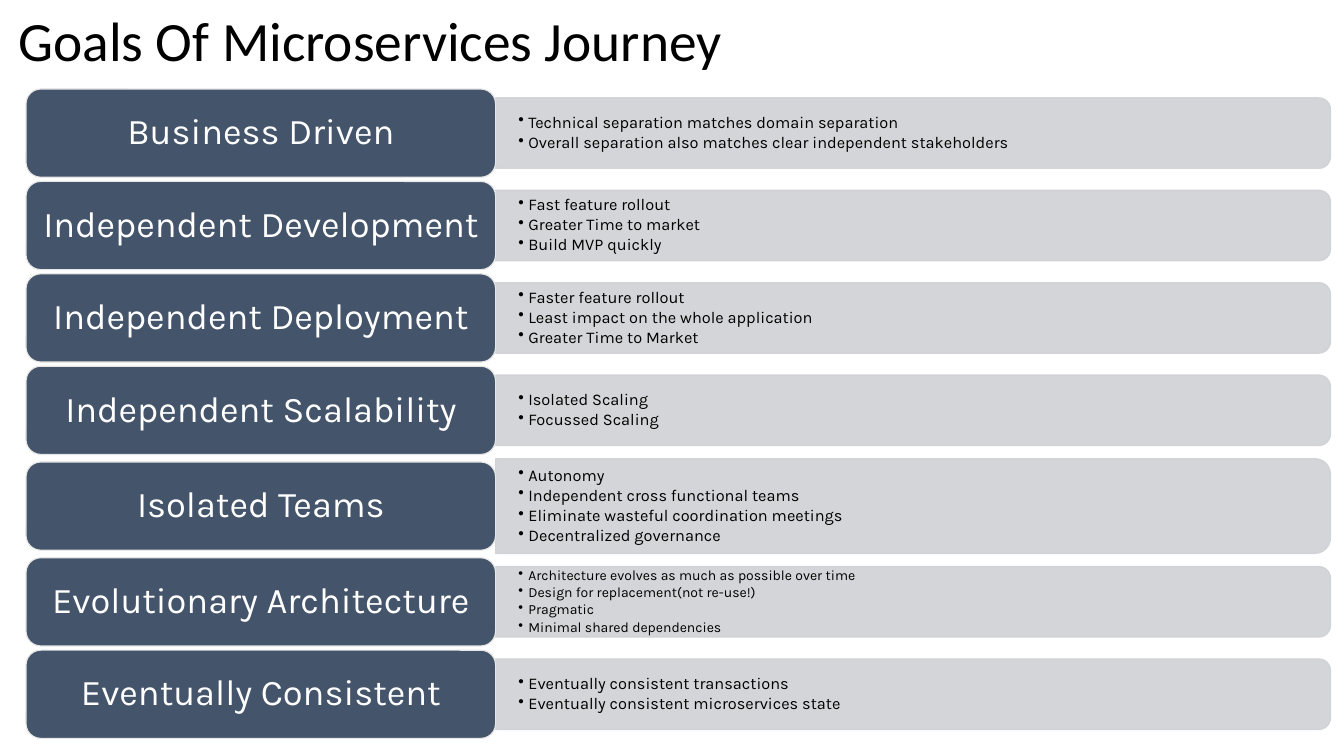
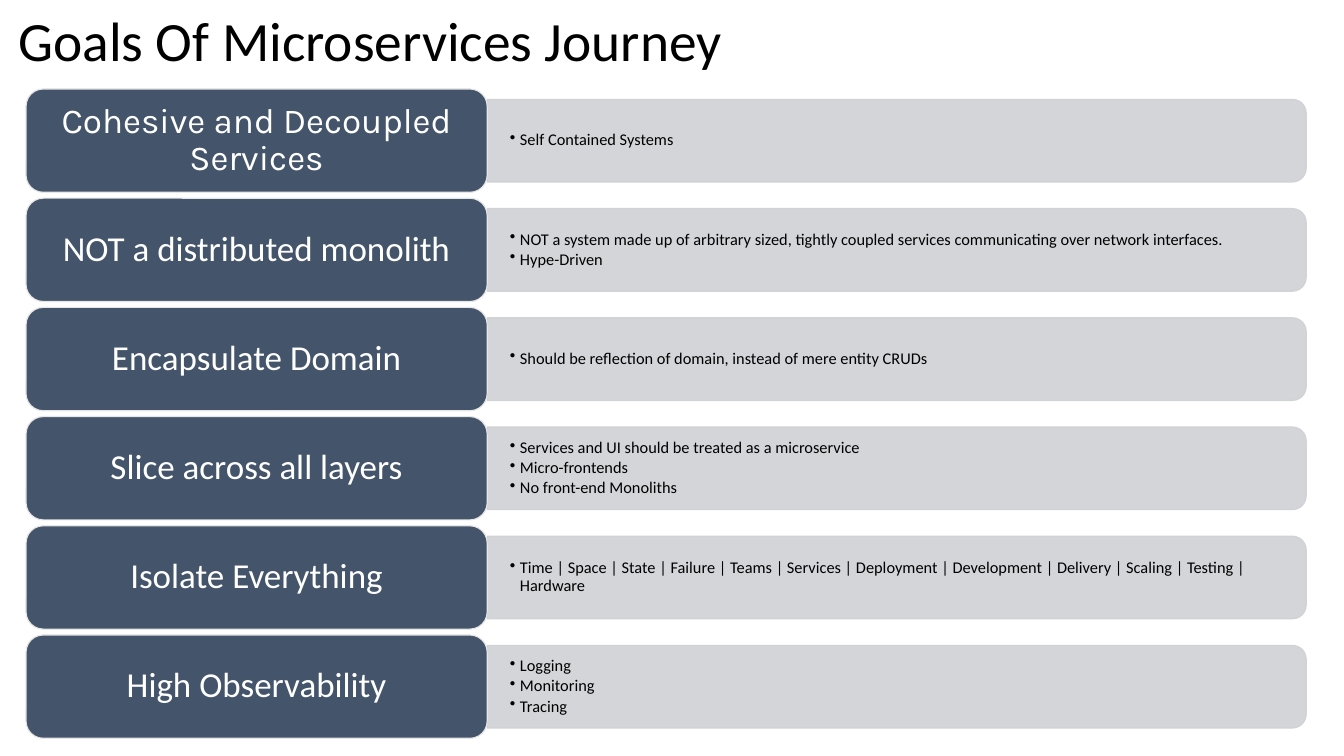
from dataclasses import dataclass

from lxml import etree
from pptx import Presentation
from pptx import util as u
from pptx.dml.color import RGBColor
from pptx.enum import shapes, text
from pptx.oxml import ns


@dataclass(frozen=True)
class Theme:
    ink: str = "000000"
    label_fill: str = "44546A"
    label_line: str = "E7E6E6"
    label_ink: str = "FFFFFF"
    panel: str = "CFD1D4"
    panel_opacity: int = 90
    plain: str = "Calibri"
    accent: str = "Karla"
    title_size: float = 47.5
    point_size: float = 14
    small_point_size: float = 12


@dataclass(frozen=True)
class Grid:
    """Two columns, with rows stacked from top; lengths in inches."""
    label_width: float
    label_height: float
    panel_width: float
    gap: float
    label_size: float
    left: float = 0.31
    top: float = 1.06

    @property
    def panel_left(self):
        return self.left + self.label_width

    @property
    def panel_height(self):
        return 0.8 * self.label_height


@dataclass(frozen=True)
class Goal:
    label: str
    points: tuple
    label_face: str
    point_face: str
    point_size: float = Theme.point_size
    panel_height: float = 0


THEME = Theme()
SLIDE_WIDTH, SLIDE_HEIGHT = 16, 9
TITLE = "Goals Of Microservices Journey"
POINT_INDENT = 0.12


# Text
def prepare_frame(frame, inset_x, inset_y):
    frame.word_wrap = True
    frame.auto_size = text.MSO_AUTO_SIZE.NONE
    frame.vertical_anchor = text.MSO_ANCHOR.MIDDLE
    frame.margin_left = frame.margin_right = u.Inches(inset_x)
    frame.margin_top = frame.margin_bottom = u.Inches(inset_y)


def add_run(paragraph, words, face, size, color):
    run = paragraph.add_run()
    run.text = words
    run.font.name = face
    run.font.size = u.Pt(size)
    run.font.color.rgb = RGBColor.from_string(color)


def set_spacing(paragraph, after_percent):
    paragraph.line_spacing = 0.9
    after = etree.SubElement(paragraph._p.get_or_add_pPr(), ns.qn("a:spcAft"))
    etree.SubElement(after, ns.qn("a:spcPct"), val=str(after_percent * 1000))


def set_bullet(paragraph):
    paragraph.level = 1
    properties = paragraph._p.get_or_add_pPr()
    indent = u.Inches(POINT_INDENT)
    properties.set("marL", str(indent))
    properties.set("indent", str(-indent))
    etree.SubElement(properties, ns.qn("a:buChar"), char="•")


# Shapes
def set_opacity(format_part, percent):
    for color in format_part.iter(ns.qn("a:srgbClr")):
        etree.SubElement(color, ns.qn("a:alpha"), val=str(percent * 1000))


def add_outline(slide, kind, box, fill, line):
    outline = slide.shapes.add_shape(kind, *map(u.Inches, box))
    outline.shadow.inherit = False
    outline.fill.solid()
    outline.fill.fore_color.rgb = RGBColor.from_string(fill)
    outline.line.color.rgb = RGBColor.from_string(line)
    outline.line.width = u.Pt(1)
    return outline


def add_title(slide):
    title = slide.shapes.add_textbox(*map(u.Inches, (0.12, 0.09, 13.8, 0.85)))
    prepare_frame(title.text_frame, 0.1, 0.05)
    paragraph = title.text_frame.paragraphs[0]
    paragraph.line_spacing = 0.9
    add_run(paragraph, TITLE, THEME.plain, THEME.title_size, THEME.ink)


def add_panel(slide, grid, goal, middle, height):
    # Turned a quarter, so that the two rounded corners face right
    width = grid.panel_width
    center = grid.panel_left + width / 2
    box = (center - height / 2, middle - width / 2, height, width)
    panel = add_outline(slide, shapes.MSO_SHAPE.ROUND_2_SAME_RECTANGLE, box,
                        THEME.panel, THEME.panel)
    panel.rotation = 90
    set_opacity(panel._element.spPr, THEME.panel_opacity)

    # Points stay level, inside the panel
    area = (grid.panel_left, middle - height / 2 + 0.04, width - 0.04, height - 0.08)
    points = slide.shapes.add_textbox(*map(u.Inches, area)).text_frame
    prepare_frame(points, 0.27, 0.14)
    for index, point in enumerate(goal.points):
        paragraph = points.add_paragraph() if index else points.paragraphs[0]
        set_spacing(paragraph, 15)
        set_bullet(paragraph)
        add_run(paragraph, point, goal.point_face, goal.point_size, THEME.ink)


def add_label(slide, grid, goal, middle):
    box = (grid.left, middle - grid.label_height / 2, grid.label_width, grid.label_height)
    label = add_outline(slide, shapes.MSO_SHAPE.ROUNDED_RECTANGLE, box,
                        THEME.label_fill, THEME.label_line)
    prepare_frame(label.text_frame, 0.13, 0.06)
    paragraph = label.text_frame.paragraphs[0]
    paragraph.alignment = text.PP_ALIGN.CENTER
    set_spacing(paragraph, 35)
    add_run(paragraph, goal.label, goal.label_face, grid.label_size, THEME.label_ink)


def add_goals_slide(deck, grid, goals):
    slide = deck.slides.add_slide(deck.slide_layouts[6])
    add_title(slide)
    top = grid.top
    for goal in goals:
        panel_height = goal.panel_height or grid.panel_height
        row_height = max(grid.label_height, panel_height)
        middle = top + row_height / 2
        add_panel(slide, grid, goal, middle, panel_height)
        add_label(slide, grid, goal, middle)
        top += row_height + grid.gap


# Content
def accent_goal(label, *points, **options):
    return Goal(label, points, THEME.accent, THEME.accent, **options)


def plain_goal(label, *points, label_face=THEME.plain):
    return Goal(label, points, label_face, THEME.plain)


DELIVERY_GOALS = (
    accent_goal("Business Driven",
                "Technical separation matches domain separation",
                "Overall separation also matches clear independent stakeholders"),
    accent_goal("Independent Development",
                "Fast feature rollout", "Greater Time to market", "Build MVP quickly"),
    accent_goal("Independent Deployment",
                "Faster feature rollout", "Least impact on the whole application",
                "Greater Time to Market"),
    accent_goal("Independent Scalability", "Isolated Scaling", "Focussed Scaling"),
    accent_goal("Isolated Teams",
                "Autonomy", "Independent cross functional teams",
                "Eliminate wasteful coordination meetings", "Decentralized governance",
                panel_height=1.13),
    accent_goal("Evolutionary Architecture",
                "Architecture evolves as much as possible over time",
                "Design for replacement(not re-use!)", "Pragmatic",
                "Minimal shared dependencies", point_size=THEME.small_point_size),
    accent_goal("Eventually Consistent",
                "Eventually consistent transactions",
                "Eventually consistent microservices state"),
)

DESIGN_GOALS = (
    plain_goal("Cohesive and Decoupled Services", "Self Contained Systems",
               label_face=THEME.accent),
    plain_goal("NOT a distributed monolith",
               "NOT a system made up of arbitrary sized, tightly coupled services "
               "communicating over network interfaces.",
               "Hype-Driven"),
    plain_goal("Encapsulate Domain",
               "Should be reflection of domain, instead of mere entity CRUDs"),
    plain_goal("Slice across all layers",
               "Services and UI should be treated as a microservice",
               "Micro-frontends", "No front-end Monoliths"),
    plain_goal("Isolate Everything",
               "Time | Space | State | Failure | Teams | Services | Deployment | "
               "Development | Delivery | Scaling | Testing | Hardware"),
    plain_goal("High Observability", "Logging", "Monitoring", "Tracing"),
)


def main():
    deck = Presentation()
    deck.slide_width = u.Inches(SLIDE_WIDTH)
    deck.slide_height = u.Inches(SLIDE_HEIGHT)
    delivery_grid = Grid(label_width=5.59, label_height=1.05, panel_width=9.94,
                         gap=0.05, label_size=31)
    design_grid = Grid(label_width=5.49, label_height=1.23, panel_width=9.75,
                       gap=0.07, label_size=30)
    add_goals_slide(deck, delivery_grid, DELIVERY_GOALS)
    add_goals_slide(deck, design_grid, DESIGN_GOALS)
    deck.save("out.pptx")


if __name__ == "__main__":
    main()
